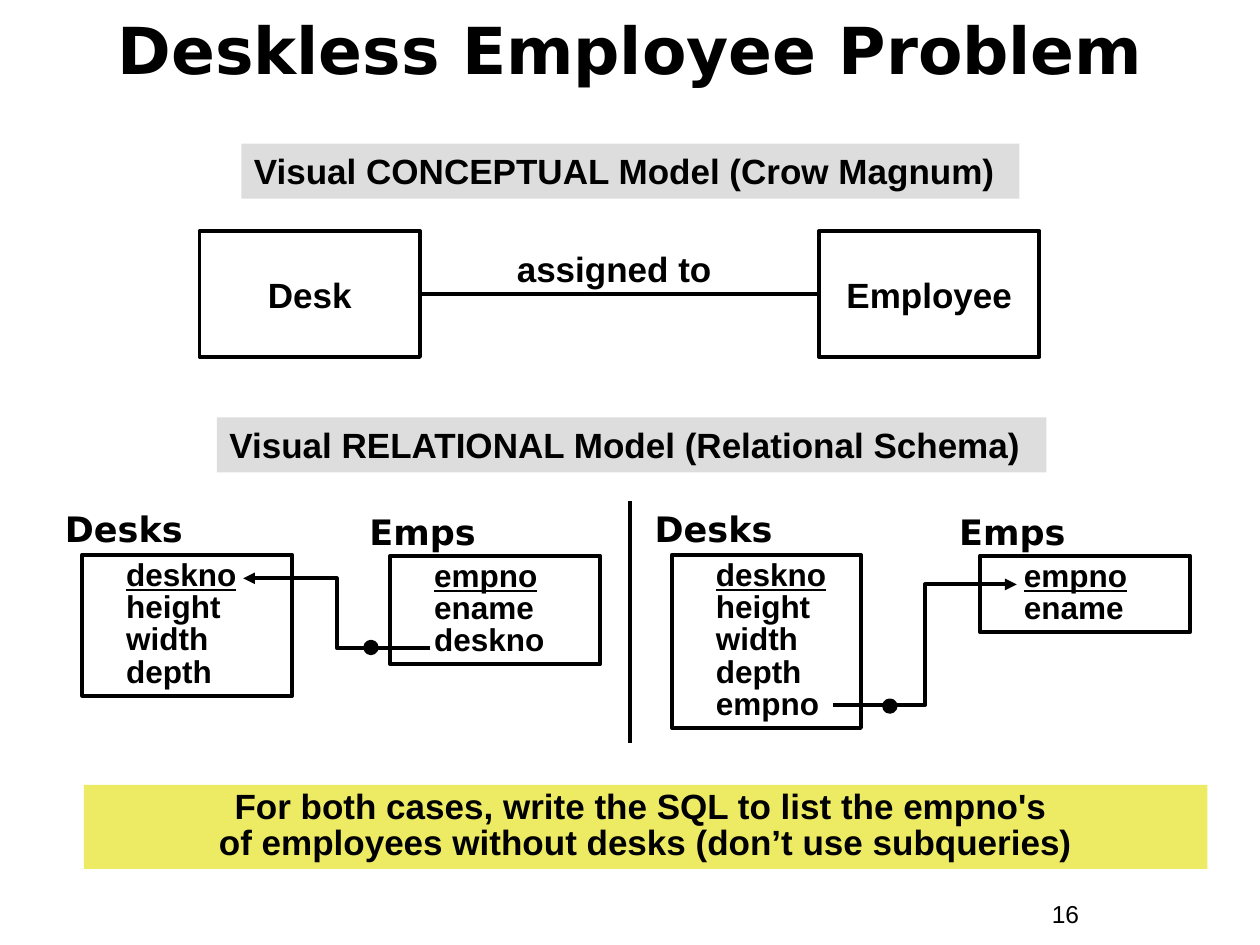
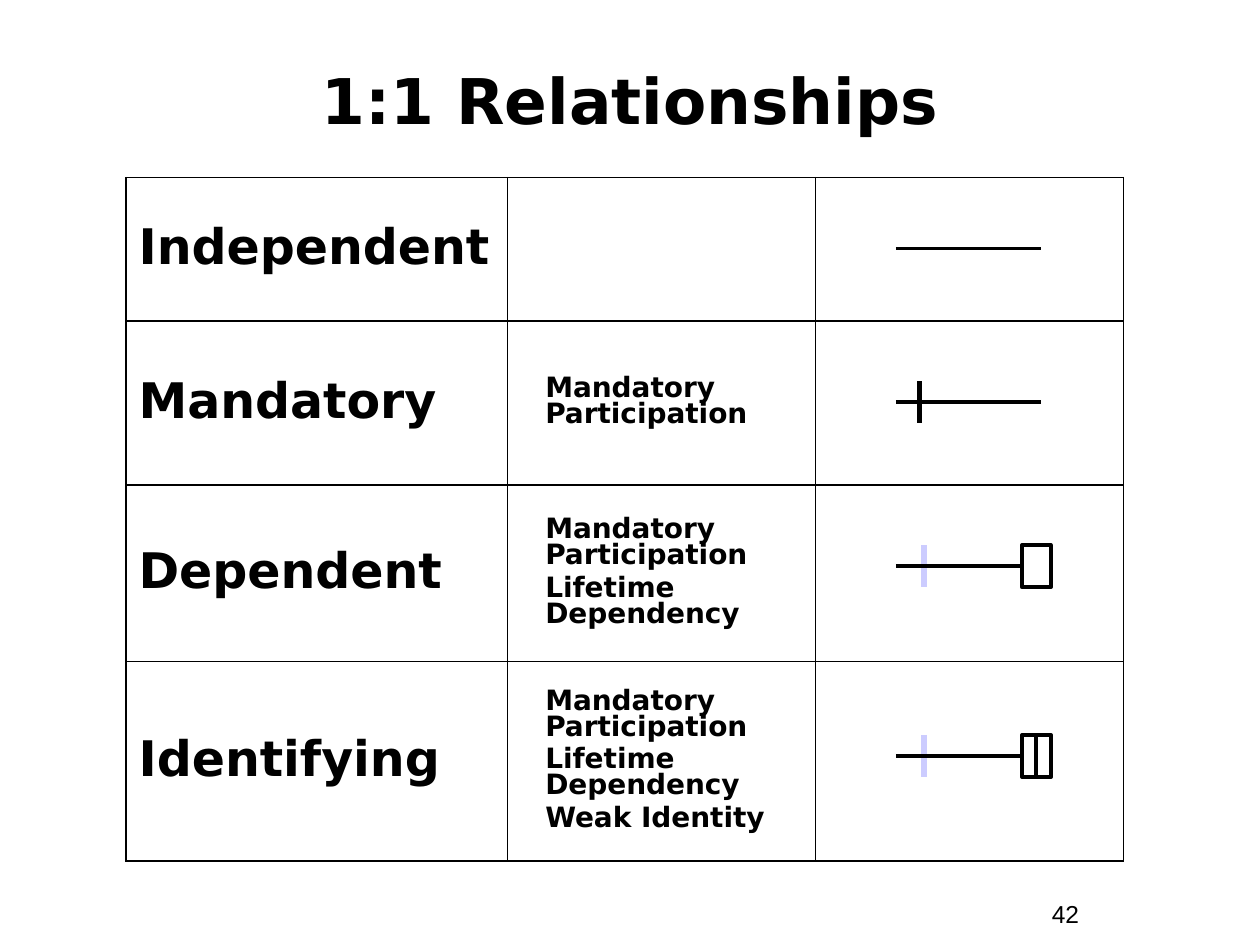
from dataclasses import dataclass

import lxml.etree
import pptx
import pptx.dml.color
import pptx.enum.shapes
import pptx.enum.text
import pptx.oxml.ns
import pptx.util

Pt = pptx.util.Pt
RGB = pptx.dml.color.RGBColor
SHAPE = pptx.enum.shapes.MSO_SHAPE
CONNECTOR = pptx.enum.shapes.MSO_CONNECTOR
ALIGN = pptx.enum.text.PP_ALIGN
ANCHOR = pptx.enum.text.MSO_ANCHOR
qn = pptx.oxml.ns.qn

# Shared style
BLACK = RGB(0x00, 0x00, 0x00)
GREY = RGB(0xDD, 0xDD, 0xDD)
YELLOW = RGB(0xED, 0xEA, 0x63)
LILAC = RGB(0xCC, 0xCC, 0xFF)
BODY_FONT = "Arial"
HEAD_FONT = "DejaVu Sans"
LINE_WIDTH = 2.25
TICK_WIDTH = 3
FIELD_HEIGHT = 18.4
SCHEMA_SHIFT = 337


@dataclass(frozen=True)
class Box:
    left: float
    top: float
    width: float
    height: float

    def lengths(self) -> tuple:
        return Pt(self.left), Pt(self.top), Pt(self.width), Pt(self.height)


@dataclass(frozen=True)
class Style:
    size: float
    font: str = BODY_FONT
    bold: bool = True
    align: ALIGN = ALIGN.LEFT
    anchor: ANCHOR = ANCHOR.TOP
    spacing: float = 1.0
    before: float = 0
    indent: float = 0
    underline_first: bool = False


@dataclass(frozen=True)
class Relation:
    """A relational table: name, place of its label and frame, and fields."""
    name: str
    label_left: float
    label_top: float
    left: float
    top: float
    width: float
    fields: tuple


@dataclass(frozen=True)
class Reference:
    """A foreign key arrow from one field to another, with its dot."""
    start: tuple
    end: tuple
    dot: tuple


@dataclass(frozen=True)
class Kind:
    """One kind of 1:1 relationship and its line notation."""
    name: str
    rules: tuple
    height: float
    line_y: float
    tick_x: float = 0
    tick_colour: RGB = BLACK
    end_boxes: int = 0


CAPTION = Style(20)
CENTRED = Style(20, align=ALIGN.CENTER)
ENTITY = Style(20, align=ALIGN.CENTER, anchor=ANCHOR.MIDDLE)
TASK = Style(20, align=ALIGN.CENTER, spacing=0.85)
RELATION_NAME = Style(20, HEAD_FONT)
FIELDS = Style(18, spacing=0.85, indent=18, underline_first=True)
PAGE_NUMBER = Style(14, bold=False)
KIND_NAME = Style(28, HEAD_FONT, anchor=ANCHOR.MIDDLE, spacing=0.9)
KIND_RULES = Style(16, HEAD_FONT, anchor=ANCHOR.MIDDLE, spacing=0.8, before=4)

RELATIONS = (
    Relation("Desks", 30, 286.5, 47, 317, 120, ("deskno", "height", "width", "depth")),
    Relation("Emps", 204, 288, 223, 317.5, 120, ("empno", "ename", "deskno")),
    Relation("Desks", 30 + SCHEMA_SHIFT, 286.5, 47 + SCHEMA_SHIFT, 317, 108,
             ("deskno", "height", "width", "depth", "empno")),
    Relation("Emps", 204 + SCHEMA_SHIFT, 288, 223 + SCHEMA_SHIFT, 317.5, 120,
             ("empno", "ename")),
)
REFERENCES = (
    Reference((246, 370.5), (139, 330.5), (212, 370)),
    Reference((476, 403), (581, 334), (508.5, 403.5)),
)

PARTICIPATION = "Mandatory\nParticipation"
DEPENDENCY = "Lifetime\nDependency"
KINDS = (
    Kind("Independent", (), 82, 142),
    Kind("Mandatory", (PARTICIPATION,), 93.5, 230, 525.5),
    Kind("Dependent", (PARTICIPATION, DEPENDENCY), 101, 323.5, 528, LILAC, 1),
    Kind("Identifying", (PARTICIPATION, DEPENDENCY, "Weak Identity"), 114, 432, 528, LILAC, 2),
)


# Text
def write(tf, paragraphs: tuple, style: Style) -> None:
    for i, text in enumerate(paragraphs):
        p = tf.paragraphs[0] if i == 0 else tf.add_paragraph()
        p.alignment = style.align
        p.line_spacing = style.spacing
        p.space_before = Pt(style.before if i else 0)
        if style.indent:
            pPr = p._p.get_or_add_pPr()
            pPr.set("marL", str(Pt(style.indent)))
            pPr.set("indent", "0")
        for j, line in enumerate(text.split("\n")):
            if j:
                p.add_line_break()
            r = p.add_run()
            r.text = line
            r.font.name = style.font
            r.font.size = Pt(style.size)
            r.font.bold = style.bold
            r.font.underline = style.underline_first and i == 0
            r.font.color.rgb = BLACK


def fill_frame(tf, paragraphs: tuple, style: Style) -> None:
    tf.word_wrap = True
    tf.auto_size = pptx.enum.text.MSO_AUTO_SIZE.NONE
    tf.vertical_anchor = style.anchor
    tf.margin_left = tf.margin_right = Pt(7.2)
    tf.margin_top = tf.margin_bottom = Pt(3.6)
    write(tf, paragraphs, style)


def add_text(s, box: Box, text: str, style: Style) -> None:
    fill_frame(s.shapes.add_textbox(*box.lengths()).text_frame, (text,), style)


# Shapes and lines
def add_box(s, box: Box, paragraphs: tuple = (), style: Style = CAPTION,
            fill: RGB | None = None, outlined: bool = True, shape: SHAPE = SHAPE.RECTANGLE) -> None:
    sp = s.shapes.add_shape(shape, *box.lengths())
    sp.shadow.inherit = False
    if fill is None:
        sp.fill.background()
    else:
        sp.fill.solid()
        sp.fill.fore_color.rgb = fill
    if outlined:
        sp.line.color.rgb = BLACK
        sp.line.width = Pt(LINE_WIDTH)
    else:
        sp.line.fill.background()
    fill_frame(sp.text_frame, paragraphs, style)


def add_line(s, start: tuple, end: tuple, colour: RGB = BLACK, width: float = LINE_WIDTH,
             kind: CONNECTOR = CONNECTOR.STRAIGHT, arrow: bool = False) -> None:
    cxn = s.shapes.add_connector(kind, *(Pt(v) for v in start + end))
    cxn.line.color.rgb = colour
    cxn.line.width = Pt(width)
    if arrow:
        tail = lxml.etree.SubElement(cxn.line._get_or_add_ln(), qn("a:tailEnd"))
        tail.set("type", "triangle")
    lxml.etree.SubElement(cxn._element.spPr, qn("a:effectLst"))


def start_slide(prs, title: str, box: Box, size: float, spacing: float, number: str):
    s = prs.slides.add_slide(prs.slide_layouts[5])
    sp = s.shapes.title
    sp.left, sp.top, sp.width, sp.height = box.lengths()
    fill_frame(sp.text_frame, (title,),
               Style(size, HEAD_FONT, align=ALIGN.CENTER, anchor=ANCHOR.MIDDLE, spacing=spacing))
    add_text(s, Box(594, 510, 66, 24.5), number, PAGE_NUMBER)
    return s


# Slide: deskless employees
def add_relation(s, relation: Relation) -> None:
    add_text(s, Box(relation.label_left, relation.label_top, 155, 31.5),
             relation.name, RELATION_NAME)
    height = FIELD_HEIGHT * len(relation.fields) + 7
    add_box(s, Box(relation.left, relation.top, relation.width, height), relation.fields, FIELDS)


def add_reference(s, reference: Reference) -> None:
    add_line(s, reference.start, reference.end, kind=CONNECTOR.ELBOW, arrow=True)
    x, y = reference.dot
    add_box(s, Box(x - 3.25, y - 3.25, 6.5, 6.5), fill=BLACK, shape=SHAPE.OVAL)


def build_deskless(prs) -> None:
    s = start_slide(prs, "Deskless Employee Problem", Box(24, 8, 672, 48), 37, 0.8, "16")

    # Conceptual model
    add_box(s, Box(138, 82, 444.5, 31.5), ("Visual CONCEPTUAL Model (Crow Magnum)",),
            fill=GREY, outlined=False)
    for name, left in (("Desk", 114), ("Employee", 468)):
        add_box(s, Box(left, 132, 126, 72), (name,), ENTITY)
    add_line(s, (241, 168), (467, 168))
    add_text(s, Box(276, 138, 150, 31.5), "assigned to", CENTRED)

    # Relational model
    add_box(s, Box(124, 238.5, 474, 31.5), ("Visual RELATIONAL Model (Relational Schema)",),
            fill=GREY, outlined=False)
    add_line(s, (360, 286.5), (360, 424.5))
    for relation in RELATIONS:
        add_relation(s, relation)
    for reference in REFERENCES:
        add_reference(s, reference)

    # Task
    add_box(s, Box(48, 448.5, 642, 48),
            ("For both cases, write the SQL to list the empno's \n"
             "of employees without desks (don’t use subqueries)",),
            TASK, fill=YELLOW, outlined=False)


# Slide: 1:1 relationships
def format_cell(cell, paragraphs: tuple, style: Style, left_margin: float) -> None:
    tcPr = cell._tc.get_or_add_tcPr()
    for side in ("L", "R", "T", "B"):
        ln = lxml.etree.SubElement(tcPr, qn(f"a:ln{side}"), w=str(Pt(1.08)))
        solid = lxml.etree.SubElement(ln, qn("a:solidFill"))
        lxml.etree.SubElement(solid, qn("a:srgbClr"), val=str(BLACK))
    cell.fill.background()
    cell.vertical_anchor = style.anchor
    cell.margin_left, cell.margin_right = Pt(left_margin), Pt(7.2)
    cell.margin_top = cell.margin_bottom = Pt(3.6)
    write(cell.text_frame, paragraphs, style)


def add_notation(s, kind: Kind) -> None:
    y = kind.line_y
    if kind.tick_x:
        add_line(s, (kind.tick_x, y - 12), (kind.tick_x, y + 12), kind.tick_colour, TICK_WIDTH)
    add_line(s, (512, y), (583 if kind.end_boxes else 595, y))
    for i in range(kind.end_boxes):
        width = 16.5 / kind.end_boxes
        add_box(s, Box(584 + i * width, y - 12, width, 24))


def build_relationships(prs) -> None:
    s = start_slide(prs, "1:1 Relationships", Box(24, 24, 672, 66), 36, 1.0, "42")
    widths = (218, 176, 176)
    box = Box(72, 101.5, sum(widths), sum(kind.height for kind in KINDS))
    table = s.shapes.add_table(len(KINDS), len(widths), *box.lengths()).table
    table.first_row = table.horz_banding = False
    for column, width in zip(table.columns, widths):
        column.width = Pt(width)
    for row, kind in zip(table.rows, KINDS):
        row.height = Pt(kind.height)
        name, rules, notation = row.cells
        format_cell(name, (kind.name,), KIND_NAME, 7.2)
        format_cell(rules, kind.rules, KIND_RULES, 21.6)
        format_cell(notation, (), KIND_RULES, 7.2)
    for kind in KINDS:
        add_notation(s, kind)


def main() -> None:
    prs = pptx.Presentation()
    prs.slide_width, prs.slide_height = Pt(720), Pt(540)
    build_deskless(prs)
    build_relationships(prs)
    prs.save("out.pptx")


if __name__ == "__main__":
    main()
